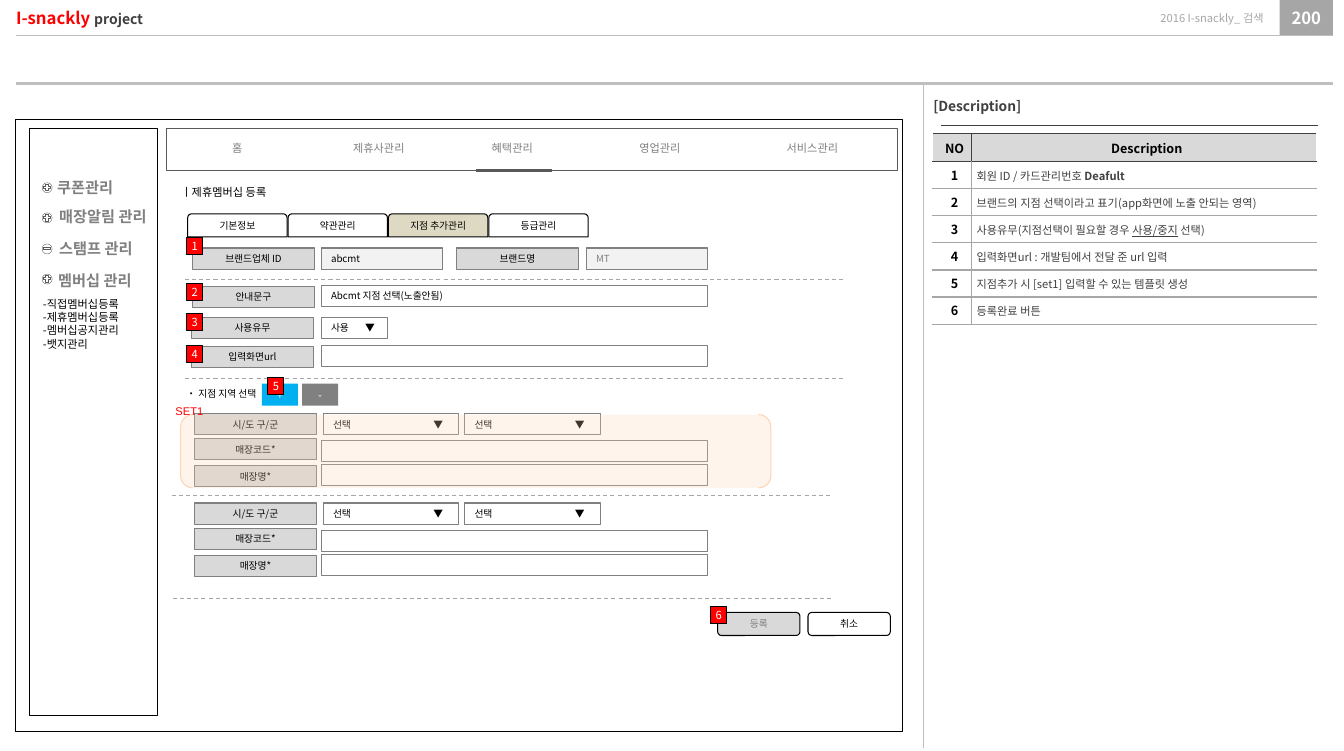
from lxml.etree import SubElement
from pptx import Presentation
from pptx.dml.color import RGBColor
from pptx.enum.dml import MSO_LINE
from pptx.enum.shapes import MSO_CONNECTOR, MSO_SHAPE
from pptx.enum.text import MSO_ANCHOR, PP_ALIGN
from pptx.oxml.ns import qn
from pptx.util import Pt

PX = 9144
SANS = "Noto Sans CJK KR"
BLACK = RGBColor(0x00, 0x00, 0x00)
WHITE = RGBColor(0xFF, 0xFF, 0xFF)
RED = RGBColor(0xFF, 0x00, 0x00)
BLUE = RGBColor(0x00, 0xB0, 0xF0)
SAND = RGBColor(0xDD, 0xD9, 0xC3)
PEACH = RGBColor(0xFC, 0xD5, 0xB5)
INK = RGBColor(0x40, 0x40, 0x40)
SLATE = RGBColor(0x59, 0x59, 0x59)
GREY = RGBColor(0x80, 0x80, 0x80)
ASH = RGBColor(0xA6, 0xA6, 0xA6)
RULE = RGBColor(0xBF, 0xBF, 0xBF)
PALE = RGBColor(0xD9, 0xD9, 0xD9)
MIST = RGBColor(0xF2, 0xF2, 0xF2)
LEFT, MID, RIGHT = PP_ALIGN.LEFT, PP_ALIGN.CENTER, PP_ALIGN.RIGHT

NOTES = [
    [("회원 ID / 카드관리번호 ", {}), ("Deafult", {"bold": True})],
    [("브랜드의 지점 선택이라고 표기(app화면에 노출 안되는 영역)", {})],
    [("사용유무(지점선택이 필요할 경우 ", {}), ("사용/중지", {"underline": True}), (" 선택)", {})],
    [("입력화면url : 개발팀에서 전달 준 url 입력", {})],
    [("지점추가 시 [set1] 입력할 수 있는 템플릿 생성", {})],
    [("등록완료 버튼", {})],
]


def put(item, vals):
    """Set each named value on an item."""
    for key, val in vals.items():
        setattr(item, key, val)


def style(run, size, ink, font=SANS, **more):
    """Give a run its font, size and colour."""
    put(run.font, {"name": font, "size": Pt(size), **more})
    run.font.color.rgb = ink
    SubElement(run.font._element, qn("a:ea"), typeface=font)


def write(frame, text, size, ink, align=MID, tab=0, **more):
    """Fill a text frame with a string of lines or a list of runs."""
    lines = [[(row, {})] for row in text.split("\n")] if isinstance(text, str) else [text]
    for num, line in enumerate(lines):
        para = frame.add_paragraph() if num else frame.paragraphs[0]
        para.alignment = align
        if tab:
            stops = SubElement(para._p.get_or_add_pPr(), qn("a:tabLst"))
            SubElement(stops, qn("a:tab"), pos=str(tab * PX), algn="l")
        for words, extra in line:
            run = para.add_run()
            run.text = words
            vals = {"size": size, "ink": ink, **more, **extra}
            style(run, **vals)


def inset(frame, side, top, anchor):
    """Set wrapping, margins and anchor of a frame."""
    put(frame, {"word_wrap": True, "vertical_anchor": anchor,
                "margin_left": side * PX, "margin_right": side * PX,
                "margin_top": top * PX, "margin_bottom": top * PX})


def label(slide, box, text, size, ink, align=LEFT, flush=False, **more):
    """Add a plain text box."""
    frame = slide.shapes.add_textbox(*[n * PX for n in box]).text_frame
    side, top, anchor = (0, 0, MSO_ANCHOR.MIDDLE) if flush else (10, 5, MSO_ANCHOR.TOP)
    inset(frame, side, top, anchor)
    write(frame, text, size, ink, align, **more)


def block(slide, box, fill=None, edge=GREY, wide=0.75, text="", size=7,
          ink=BLACK, align=MID, kind=MSO_SHAPE.RECTANGLE, tab=0):
    """Add a preset shape with optional text."""
    shape = slide.shapes.add_shape(kind, *[n * PX for n in box])
    shape.shadow.inherit = False
    if fill is None:
        shape.fill.background()
    else:
        shape.fill.solid()
        shape.fill.fore_color.rgb = fill
    if edge is None:
        shape.line.fill.background()
    else:
        shape.line.color.rgb = edge
        shape.line.width = Pt(wide)
    if text:
        inset(shape.text_frame, 10 if align == LEFT else 0, 0, MSO_ANCHOR.MIDDLE)
        write(shape.text_frame, text, size, ink, align, tab)
    return shape


def rule(slide, x, y, to_x, to_y, ink, wide, dash=False):
    """Add a straight line."""
    line = slide.shapes.add_connector(MSO_CONNECTOR.STRAIGHT, *[n * PX for n in (x, y, to_x, to_y)])
    line.line.color.rgb = ink
    line.line.width = Pt(wide)
    if dash:
        line.line.dash_style = MSO_LINE.DASH
    SubElement(line._element.spPr, qn("a:effectLst"))


def name(slide, x, y, text):
    """Add a grey field name."""
    block(slide, (x, y, 121, 21), PALE, text=text)


def field(slide, x, y, wide, text="", fill=WHITE, **more):
    """Add a field for input."""
    block(slide, (x, y, wide, 21), fill, text=text, align=LEFT, **more)


def badge(slide, x, y, num):
    """Add a red number mark."""
    block(slide, (x, y, 16, 17), RED, BLACK, text=str(num), size=8, ink=WHITE)


def store(slide, y):
    """Add the fields for one store."""
    name(slide, 194, y, "시/도 구/군")
    for x in (322, 463):
        field(slide, x, y, 135, "선택\t▼", tab=100)
    name(slide, 194, y + 25, "매장코드*")
    name(slide, 194, y + 52, "매장명*")
    for gap in (27, 51):
        field(slide, 320, y + gap, 385)


def edges(cell, inks):
    """Draw the borders of a cell."""
    props = cell._tc.get_or_add_tcPr()
    for side, ink in inks.items():
        line = SubElement(props, qn("a:ln" + side), w=str(Pt(1)))
        fill = SubElement(line, qn("a:solidFill"))
        SubElement(fill, qn("a:srgbClr"), val=str(ink))


def chart(slide):
    """Add the table of numbered notes."""
    rows = [("NO", "Description")] + [(str(n), note) for n, note in enumerate(NOTES, 1)]
    grid = slide.shapes.add_table(len(rows), 2, *[n * PX for n in (929, 133, 383, 190)]).table
    put(grid, {"first_row": False, "horz_banding": False})
    for col, wide in zip(grid.columns, (39, 344)):
        col.width = wide * PX
    for r, row in enumerate(rows):
        grid.rows[r].height = (27 if r else 28) * PX
        ink = ASH if r else INK
        for c, text in enumerate(row):
            cell = grid.cell(r, c)
            edges(cell, {"L" if c else "R": ink, "T": ASH if r > 1 else INK, "B": ink})
            put(cell, {"margin_left": 5 * PX, "margin_right": 0, "margin_top": 0,
                       "margin_bottom": 0, "vertical_anchor": MSO_ANCHOR.MIDDLE})
            if r:
                cell.fill.background()
            else:
                cell.fill.solid()
                cell.fill.fore_color.rgb = PALE
            note = r and c
            write(cell.text_frame, text, 8 if note else 9, INK if note else BLACK,
                  LEFT if note else MID, bold=not note)


def header(slide):
    """Add the page header and the description heading."""
    block(slide, (1275, 0, 53, 35), ASH, None)
    rule(slide, 16, 83, 1328, 83, RULE, 2.25)
    rule(slide, 16, 35, 1328, 35, RULE, 0.25)
    label(slide, (1275, 0, 53, 35), "200", 12, WHITE, MID, True, bold=True)
    label(slide, (1032, 0, 227, 35), "2016 I-snackly_ 검색", 8, ASH, RIGHT, True)
    label(slide, (16, 0, 205, 35), [("I-snackly ", {}), ("project", {"size": 10, "ink": INK})],
          12, RED, flush=True, bold=True)
    label(slide, (920, 92, 173, 27), "[Description]", 9.9, INK, bold=True)
    rule(slide, 938, 125, 1313, 125, INK, 0.5)
    rule(slide, 920, 85, 920, 745, RULE, 0.75)


def menu(slide):
    """Add the side menu and the top menu."""
    block(slide, (15, 119, 884, 610), edge=BLACK)
    block(slide, (29, 128, 128, 585), WHITE, BLACK)
    block(slide, (166, 128, 728, 42), WHITE, SLATE, 0.5)
    for x, text in zip((183, 324, 457, 604, 756), ("홈", "제휴사관리", "혜택관리", "영업관리", "서비스관리")):
        label(slide, (x, 136, 107, 23), text, 8, GREY, MID)
    rule(slide, 474, 170, 550, 170, SLATE, 2.25)
    plus, minus = MSO_SHAPE.MATH_PLUS, MSO_SHAPE.MATH_MINUS
    items = [(47, 173, 182, "쿠폰관리", plus), (49, 202, 212, "매장알림 관리", plus),
             (49, 233, 243, "스탬프 관리", minus), (48, 265, 273, "멤버십 관리", plus)]
    for x, y, top, text, sign in items:
        label(slide, (x, y, 128, 28), text, 10.9, GREY, bold=True)
        block(slide, (42, top, 10, 10), WHITE, SLATE, 0.25, kind=MSO_SHAPE.OVAL)
        block(slide, (42, top, 9, 9), None, SLATE, 0.25, kind=sign)
    label(slide, (33, 291, 143, 64), "-직접멤버십등록\n-제휴멤버십등록\n-멤버십공지관리\n-뱃지관리", 8, BLACK)


def form(slide):
    """Add the membership form."""
    block(slide, (171, 180, 164, 23), WHITE, None, text="ㅣ제휴멤버십 등록", size=8, align=LEFT)
    for i, text in enumerate(("기본정보", "약관관리", "지점 추가관리", "등급관리")):
        block(slide, (187 + 100 * i, 213, 99, 23), SAND if i == 2 else WHITE, BLACK,
              text=text, kind=MSO_SHAPE.ROUND_2_SAME_RECTANGLE)
    for x, y, text in ((192, 247, "브랜드업체 ID"), (455, 247, "브랜드명"), (192, 285, "안내문구"),
                       (191, 316, "사용유무"), (191, 345, "입력화면url")):
        name(slide, x, y, text)
    field(slide, 320, 247, 121, "abcmt", MIST)
    field(slide, 584, 247, 121, "MT", MIST, ink=GREY)
    field(slide, 320, 284, 385, "Abcmt 지점 선택(노출안됨)")
    field(slide, 320, 316, 66, "사용\t▼", tab=34)
    field(slide, 320, 344, 385)
    for x, y in ((184, 278), (184, 377), (171, 494), (172, 596)):
        rule(slide, x, y, x + 658, y, ASH, 0.75, True)
    label(slide, (176, 381, 120, 22), "• 지점 지역 선택", 7, BLACK)
    for y in (412, 501):
        store(slide, y)
    band = block(slide, (180, 413, 588, 73), PEACH, PEACH, kind=MSO_SHAPE.DOUBLE_BRACKET)
    tint = band._element.spPr.find(qn("a:solidFill")).find(qn("a:srgbClr"))
    SubElement(tint, qn("a:alpha"), val="26000")
    label(slide, (165, 398, 66, 23), "SET1", 8, RED, font="Arial")
    for x, text, fill, ink in ((715, "등록", PALE, GREY), (805, "취소", WHITE, BLACK)):
        block(slide, (x, 610, 82, 23), fill, BLACK, text=text, ink=ink, kind=MSO_SHAPE.ROUNDED_RECTANGLE)
    for x, text, fill in ((261, "+", BLUE), (301, "-", GREY)):
        block(slide, (x, 382, 36, 22), fill, None, text=text, size=8, ink=WHITE)
    spots = ((186, 237), (186, 282), (186, 312), (186, 344), (267, 376), (708, 604))
    for num, (x, y) in enumerate(spots, 1):
        badge(slide, x, y, num)


def main():
    """Build the slide and save it."""
    deck = Presentation()
    put(deck, {"slide_width": 1339 * PX, "slide_height": 748 * PX})
    slide = deck.slides.add_slide(deck.slide_layouts[6])
    header(slide)
    chart(slide)
    menu(slide)
    form(slide)
    deck.save("out.pptx")


if __name__ == "__main__":
    main()
